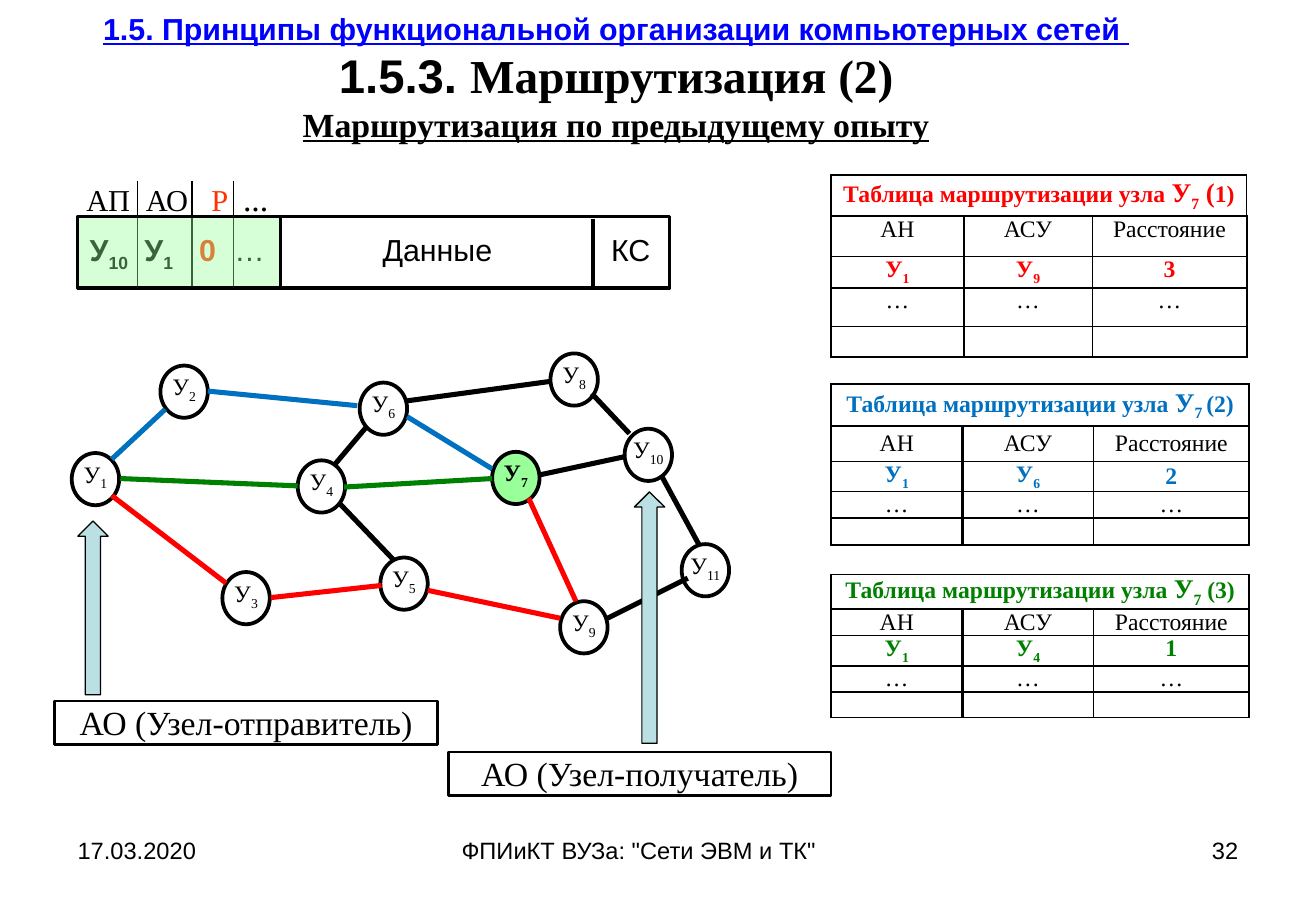
from pptx import Presentation
from pptx import util as u
from pptx.dml.color import RGBColor
from pptx.enum import shapes, text
from lxml import etree


class Theme:
    black, white, red, blue, green = "000000", "FFFFFF", "FF0000", "0070C0", "008000"
    link, mark, lime, arrow = "0000FF", "FF3300", "99FF99", "BBE0E3"
    serif, sans = "Times New Roman", "Arial"
    tiny, small, mid, body, big, head = 12, 14, 16, 18, 20, 28


T = Theme
NS = "http://schemas.openxmlformats.org/drawingml/2006/main"

TITLE = [
    [("1.5. Принципы функциональной организации компьютерных сетей ", T.body, T.link, T.sans, True)],
    [("1.5.3. ", T.head, T.black, T.sans, False), ("Маршрутизация (2)", T.head, T.black, T.serif, False)],
    [("Маршрутизация по предыдущему опыту", T.big, T.black, T.serif, True)],
]
FOOT = [("17.03.2020", 0.54, 2.53, "LEFT"),
        ('ФПИиКТ ВУЗа: "Сети ЭВМ и ТК"', 3.7, 3.43, "LEFT"),
        ("32", 7.76, 2.53, "RIGHT")]
NODES = {1: (0.59, 3.73), 2: (1.32, 3.01), 3: (1.83, 4.71), 4: (2.45, 3.79),
         5: (3.13, 4.59), 6: (2.96, 3.15), 7: (4.05, 3.72), 8: (4.53, 2.91),
         9: (4.61, 4.95), 10: (5.14, 3.53), 11: (5.61, 4.48)}
LINKS = {
    T.blue: [(0.92, 3.78, 1.36, 3.37), (1.71, 3.22, 2.94, 3.34), (3.35, 3.43, 4.05, 3.86)],
    T.green: [(0.99, 3.94, 2.45, 4), (2.83, 4.01, 4.05, 3.94)],
    T.red: [(0.92, 4.08, 1.86, 4.8), (2.23, 4.92, 3.14, 4.82),
            (3.52, 4.86, 4.61, 5.09), (4.35, 4.1, 4.74, 4.95)],
    T.black: [(4.87, 3.24, 5.18, 3.57), (4.44, 3.91, 5.14, 3.76), (5.44, 3.91, 5.75, 4.48),
              (5, 5.09, 5.66, 4.76), (3.35, 3.3, 4.53, 3.14), (2.75, 3.83, 3.02, 3.51),
              (2.79, 4.14, 3.24, 4.61)],
}
HEADS = ["АН", "АСУ", "Расстояние"]
TABLES = [
    (1.44, T.red, "У|7| (", "1)", ["У|1", "У|9", "3"],
     [1.09, 1.06, 1.27], [0.34, 0.33, 0.26, 0.32, 0.25], {0}),
    (3.16, T.blue, "У|7 |", "(2)", ["У|1", "У|6", "2"],
     [1.08, 1.08, 1.28], [0.35, 0.29, 0.24, 0.22, 0.22], {0, 1, 2, 3}),
    (4.73, T.green, "У|7|", " (3)", ["У|1", "У|4", "1"],
     [1.08, 1.08, 1.28], [0.28, 0.22, 0.25, 0.21, 0.21], {1}),
]
ENDS = [("АО (Узел-отправитель)", 0.45, 5.77, 0.64, 4.29, 1.43),
        ("АО (Узел-получатель)", 3.69, 6.19, 5.22, 4.05, 2.07)]

deck = Presentation()
deck.slide_width, deck.slide_height = u.Inches(10.83), u.Inches(7.5)
page = deck.slides.add_slide(deck.slide_layouts[5])


def rgb(hue):
    return RGBColor.from_string(hue)


def box(*at):
    return [u.Inches(v) for v in at]


def put(para, words, size, hue=T.black, face=T.serif, bold=False, under=False):
    for i, part in enumerate(words.split("|")):
        if part:
            run = para.add_run()
            run.text = part
            font = run.font
            font.size, font.name, font.bold, font.underline = u.Pt(size), face, bold, under
            font.color.rgb = rgb(hue)
            if i % 2:
                run._r.get_or_add_rPr().set("baseline", "-25000")


def pad(frame, side, top, anchor="TOP", wrap=True):
    frame.margin_left = frame.margin_right = u.Inches(side)
    frame.margin_top = frame.margin_bottom = u.Inches(top)
    frame.vertical_anchor = text.MSO_ANCHOR[anchor]
    frame.word_wrap = wrap
    frame.auto_size = text.MSO_AUTO_SIZE.NONE


def draw(kind, at, fill, width=0):
    item = page.shapes.add_shape(shapes.MSO_SHAPE[kind], *box(*at))
    item.shadow.inherit = False
    item.fill.solid()
    item.fill.fore_color.rgb = rgb(fill)
    if width:
        item.line.color.rgb = rgb(T.black)
        item.line.width = u.Pt(width)
    else:
        item.line.fill.background()
    return item


def join(ends, hue, width):
    line = page.shapes.add_connector(shapes.MSO_CONNECTOR.STRAIGHT, *box(*ends))
    line.line.color.rgb = rgb(hue)
    line.line.width = u.Pt(width)
    etree.SubElement(line._element.spPr, f"{{{NS}}}effectLst")


def tabs(para, stops):
    props = para._p.get_or_add_pPr()
    group = etree.SubElement(props, f"{{{NS}}}tabLst")
    for stop in stops:
        etree.SubElement(group, f"{{{NS}}}tab", pos=str(u.Inches(stop)), algn="l")
    para.alignment = text.PP_ALIGN.LEFT


def edge(cell, **widths):
    props = cell._tc.get_or_add_tcPr()
    for i, side in enumerate("LRTB"):
        line = etree.Element(f"{{{NS}}}ln{side}", w=str(u.Pt(widths[side])))
        fill = etree.SubElement(line, f"{{{NS}}}solidFill")
        etree.SubElement(fill, f"{{{NS}}}srgbClr", val=T.black)
        props.insert(i, line)


def table(top, hue, node, tail, route, cols, rows, middle):
    grid = page.shapes.add_table(
        len(rows), len(cols), *box(6.84, top, sum(cols), sum(rows))).table
    grid.first_row = grid.horz_banding = False
    for col, width in zip(grid.columns, cols):
        col.width = u.Inches(width)
    for row, height in zip(grid.rows, rows):
        row.height = u.Inches(height)
    grid.cell(0, 0).merge(grid.cell(0, 2))
    body = [[], HEADS, route, ["…"] * 3, []]
    for r, line in enumerate(body):
        for c in range(3):
            cell = grid.cell(r, c)
            cell.fill.background()
            cell.margin_left = cell.margin_right = u.Inches(0.07)
            cell.margin_top = cell.margin_bottom = 0
            cell.vertical_anchor = text.MSO_ANCHOR["MIDDLE" if r in middle else "TOP"]
            edge(cell, L=1 if r == 0 or c == 2 else 1.5, R=1 if r == 0 or c == 1 else 1.5,
                 T=1.5 if r == 1 else 1, B=1.5 if r == 0 else 1)
            para = cell.text_frame.paragraphs[0]
            para.alignment = text.PP_ALIGN.CENTER
            if line:
                put(para, line[c], T.small, hue if r == 2 else T.black, bold=r == 2)
            elif r == 0 and c == 0:
                put(para, "Таблица маршрутизации узла ", T.small, hue, bold=True)
                put(para, node, T.mid, hue, bold=True)
                put(para, tail, T.small, hue, bold=True)
            else:
                etree.SubElement(para._p, f"{{{NS}}}endParaRPr", sz=str(T.tiny * 100))


name = page.shapes.title
name.left, name.top, name.width, name.height = box(0.54, 0.01, 9.06, 1.25)
pad(name.text_frame, 0.1, 0.05, "MIDDLE")
for i, line in enumerate(TITLE):
    para = name.text_frame.add_paragraph() if i else name.text_frame.paragraphs[0]
    para.alignment = text.PP_ALIGN.CENTER
    for words, size, hue, face, under in line:
        put(para, words, size, hue, face, True, under)

for words, left, width, side in FOOT:
    frame = page.shapes.add_textbox(*box(left, 6.83, width, 0.52)).text_frame
    pad(frame, 0.1, 0.05)
    frame.paragraphs[0].alignment = text.PP_ALIGN[side]
    put(frame.paragraphs[0], words, T.small, face=T.sans)

label = draw("RECTANGLE", (0.69, 1.45, 1.67, 0.36), T.white).text_frame
pad(label, 0.02, 0.01)
para = label.paragraphs[0]
tabs(para, [0.49, 1.03, 1.29])
put(para, "АП\tАО\t", T.body)
put(para, "Р", T.body, T.mark)
put(para, "\t...", T.big)

for num, spot in NODES.items():
    hub = num == 7
    frame = draw("OVAL", (*spot, 0.39, 0.43), T.lime if hub else T.white, 2.25).text_frame
    pad(frame, 0, 0, wrap=False)
    frame.margin_top = u.Inches(-0.01)
    frame.paragraphs[0].alignment = text.PP_ALIGN.CENTER
    put(frame.paragraphs[0], f"У|{num}", T.small, bold=hub)

for hue, group in LINKS.items():
    for ends in group:
        join(ends, hue, 3)

for entry in TABLES:
    table(*entry)

packet = draw("RECTANGLE", (0.64, 1.78, 4.87, 0.59), T.white, 2).text_frame
pad(packet, 0.1, 0.05, "MIDDLE")
para = packet.paragraphs[0]
tabs(para, [0.45, 0.9, 1.19, 2.41, 4.29])
put(para, "У|10|\tУ|1|\t", T.body, face=T.sans, bold=True)
put(para, "0", T.body, T.mark, T.sans, True)
put(para, "\t…\tДанные\tКС", T.body, face=T.sans)
join((4.88, 1.8, 4.88, 2.37), T.black, 2)
for x in (1.13, 1.58, 1.92):
    join((x, 1.49, x, 2.37), T.black, 0.75)
tint = draw("RECTANGLE", (0.64, 1.78, 1.67, 0.59), T.lime, 2)
shade = tint._element.spPr.find(f"{{{NS}}}solidFill/{{{NS}}}srgbClr")
etree.SubElement(shade, f"{{{NS}}}alpha", val="39000")

for words, left, top, x, y, tall in ENDS:
    draw("UP_ARROW", (x, y, 0.25, tall), T.arrow, 0.75)
    frame = draw("RECTANGLE", (left, top, 3.15, 0.36), T.white, 1.5).text_frame
    pad(frame, 0.02, 0.01)
    frame.paragraphs[0].alignment = text.PP_ALIGN.CENTER
    put(frame.paragraphs[0], words, T.big)

deck.save("out.pptx")
